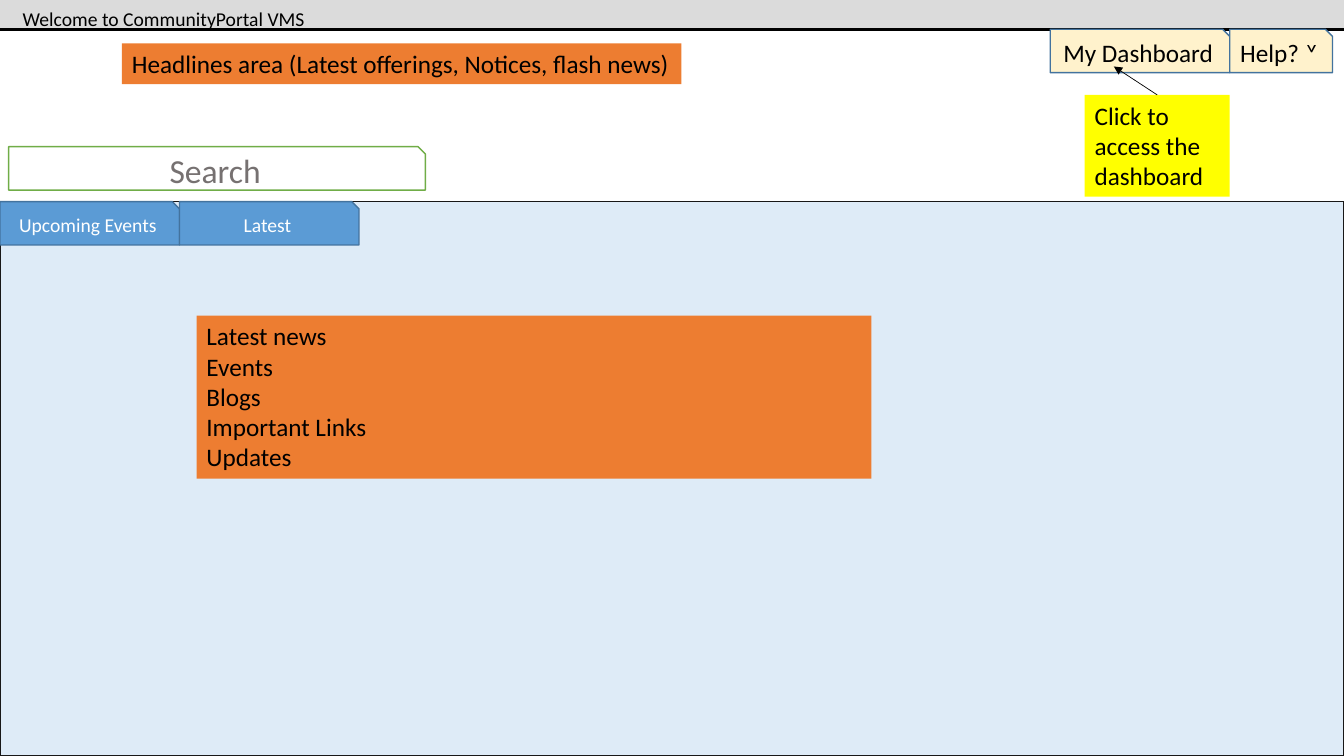
import pptx
import pptx.util
import pptx.dml.color
import pptx.enum.shapes
import pptx.enum.text
import pptx.oxml
import pptx.oxml.ns

Pt = pptx.util.Pt
SHAPES = pptx.enum.shapes.MSO_SHAPE
ALIGN = pptx.enum.text.PP_ALIGN
ANCHOR = pptx.enum.text.MSO_ANCHOR

BLACK = "000000"
WHITE = "FFFFFF"
CREAM = "FFF2CC"
BLUE = "5B9BD5"
DARK_BLUE = "43739E"
ORANGE = "ED7D31"
TAB_TOP = 144
TAB_WIDTH = 128.2
TAB_HEIGHT = 31
MENU_TOP = 20.9
MENU_LEFT = 750.2


def color(value):
    return pptx.dml.color.RGBColor.from_string(value)


def write_lines(shape, lines, size, font_color, align, anchor):
    frame = shape.text_frame
    frame.word_wrap = True
    frame.vertical_anchor = anchor
    for index, line in enumerate(lines):
        paragraph = frame.paragraphs[0] if index == 0 else frame.add_paragraph()
        paragraph.alignment = align
        run = paragraph.add_run()
        run.text = line
        run.font.name = "Calibri"
        run.font.size = Pt(size)
        run.font.color.rgb = color(font_color)


def add_box(slide, kind, box, fill, line=None, line_width=1):
    shape = slide.shapes.add_shape(kind, *map(Pt, box))
    shape.shadow.inherit = False
    shape.fill.solid()
    shape.fill.fore_color.rgb = color(fill)
    if line:
        shape.line.color.rgb = color(line)
        shape.line.width = Pt(line_width)
    else:
        shape.line.fill.background()
    return shape


def add_tab(slide, box, text, size, fill, line, font_color):
    shape = add_box(slide, SHAPES.SNIP_1_RECTANGLE, box, fill, line)
    write_lines(shape, [text], size, font_color, ALIGN.CENTER, ANCHOR.MIDDLE)


def add_note(slide, box, lines, fill):
    shape = add_box(slide, SHAPES.RECTANGLE, box, fill)
    write_lines(shape, lines, 18, BLACK, ALIGN.LEFT, ANCHOR.TOP)
    return shape


def add_label(slide, box, text):
    shape = slide.shapes.add_textbox(*map(Pt, box))
    write_lines(shape, [text], 14, BLACK, ALIGN.CENTER, ANCHOR.TOP)


def add_arrow(slide, source, end_x, end_y):
    connector = slide.shapes.add_connector(
        pptx.enum.shapes.MSO_CONNECTOR.STRAIGHT,
        source.left, source.top, Pt(end_x), Pt(end_y))
    connector.begin_connect(source, 0)
    connector.line.color.rgb = color(BLACK)
    connector.line.width = Pt(0.5)
    tail = pptx.oxml.parse_xml(
        "<a:tailEnd %s type='triangle'/>" % pptx.oxml.ns.nsdecls("a"))
    connector.line._get_or_add_ln().append(tail)
    effects = pptx.oxml.parse_xml(
        "<a:effectLst %s/>" % pptx.oxml.ns.nsdecls("a"))
    connector._element.spPr.append(effects)


def main():
    presentation = pptx.Presentation()
    presentation.slide_width = Pt(960)
    presentation.slide_height = Pt(540)
    slide = presentation.slides.add_slide(presentation.slide_layouts[6])

    add_box(slide, SHAPES.RECTANGLE, (-6, -37.4, 979, 58.3), "DBDBDB", BLACK, 2.25)
    add_label(slide, (-20.9, 1.4, 275.8, 24.2), "Welcome to CommunityPortal VMS")
    add_box(slide, SHAPES.RECTANGLE, (0, TAB_TOP, 960, 396), "DEEBF7", "181717")

    menu = [("My Dashboard", MENU_LEFT, TAB_WIDTH),
            ("Help? ˅", MENU_LEFT + TAB_WIDTH, 73.4)]
    for text, left, width in menu:
        add_tab(slide, (left, MENU_TOP, width, TAB_HEIGHT), text, 18,
                CREAM, DARK_BLUE, BLACK)

    for index, text in enumerate(["Upcoming Events", "Latest"]):
        add_tab(slide, (index * TAB_WIDTH, TAB_TOP, TAB_WIDTH, TAB_HEIGHT), text, 14,
                BLUE, DARK_BLUE, WHITE)

    add_note(slide, (87.1, 31, 399.6, 29.1),
             ["Headlines area (Latest offerings, Notices, flash news)"], ORANGE)
    add_note(slide, (140.4, 225.5, 482, 116.4),
             ["Latest news", "Events", "Blogs", "Important Links", "Updates"], ORANGE)
    hint = add_note(slide, (774.8, 67.8, 103.6, 72.7),
                    ["Click to access the dashboard"], "FFFF00")
    add_arrow(slide, hint, 795.6, 47.5)
    add_tab(slide, (6.2, 104.8, 297.6, TAB_HEIGHT), "Search", 24,
            WHITE, "70AD47", "767171")

    presentation.save("out.pptx")


if __name__ == "__main__":
    main()
